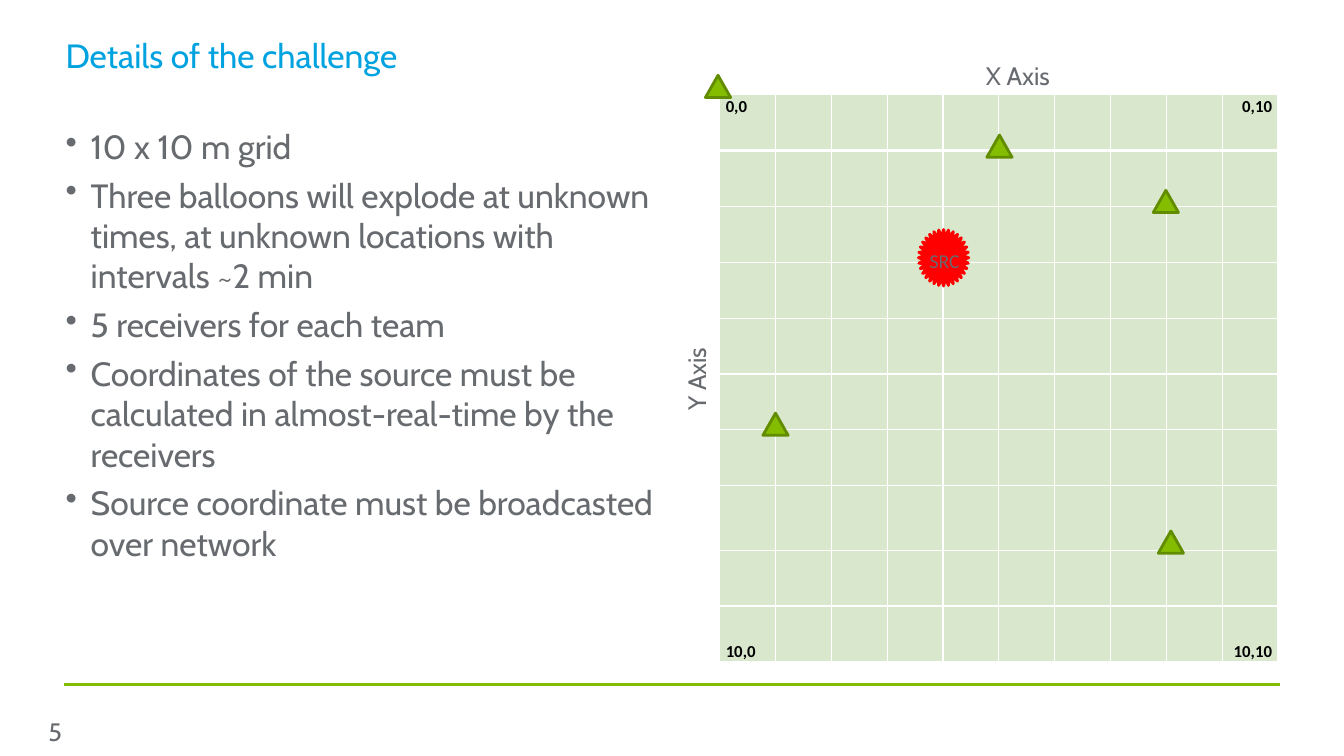
from dataclasses import dataclass
from itertools import product

from lxml.etree import SubElement
from pptx import Presentation
from pptx.dml.color import RGBColor
from pptx.enum.shapes import MSO_CONNECTOR as Connector, MSO_SHAPE as Preset
from pptx.enum.text import MSO_ANCHOR as Anchor, PP_ALIGN as Align
from pptx.oxml import parse_xml
from pptx.oxml.ns import nsdecls, qn
from pptx.shapes.autoshape import Shape
from pptx.slide import Slide
from pptx.table import _Cell as Cell
from pptx.text.text import _Paragraph as Paragraph
from pptx.util import Inches, Length, Pt


@dataclass(frozen=True)
class Theme:
    heading: str = "00A3E0"
    text: str = "676A6E"
    corner: str = "000000"
    rule: str = "84BD00"
    receiver: str = "84BD00"
    receiver_edge: str = "628C00"
    source: str = "FF0000"
    field: str = "D9E8CC"
    field_line: str = "FFFFFF"
    font: str = "Cabin"
    field_font: str = "Calibri"
    body_size: int = 24
    axis_size: int = 18
    source_size: int = 14
    corner_size: int = 12


@dataclass(frozen=True)
class Box:
    col: float
    row: float
    cols: float
    rows: float


@dataclass(frozen=True)
class Label:
    text: str
    box: Box
    size: int
    color: str
    inset: float = 1.2
    wrap: bool = False
    rotation: int = 0


@dataclass(frozen=True)
class Corner:
    text: str
    row: int
    col: int
    align: Align
    anchor: Anchor


@dataclass(frozen=True)
class Spot:
    x: float
    y: float


THEME = Theme()
SLIDE_COLS, SLIDE_ROWS = 160, 90
FIELD = Box(85.68, 11.28, 66.48, 67.5)
FIELD_CELLS = 10
CELL = FIELD.cols / FIELD_CELLS
TALL_ROW, TALL_ROW_HEIGHT = 7, 7.68

LABELS = (
    Label("5", Box(4.56, 84.72, 6.24, 4.8), THEME.axis_size, THEME.text),
    Label("Details of the challenge", Box(7.8, 3.6, 144.6, 10.8),
          THEME.body_size, THEME.heading, inset=0, wrap=True),
    Label("X Axis", Box(116.16, 6.6, 10.2, 4.8), THEME.axis_size, THEME.text),
    Label("Y Axis", Box(77.76, 42.6, 10.2, 4.8), THEME.axis_size, THEME.text,
          rotation=270),
)
DETAILS = Label("\n".join((
    "10 x 10 m grid",
    "Three balloons will explode at unknown times, at unknown locations with intervals ~2 min",
    "5 receivers for each team",
    "Coordinates of the source must be calculated in almost-real-time by the receivers",
    "Source coordinate must be broadcasted over network",
)), Box(7.8, 14.4, 72.24, 64.92), THEME.body_size, THEME.text, inset=0, wrap=True)

CORNERS = (
    Corner("0,0", 0, 0, Align.JUSTIFY, Anchor.TOP),
    Corner("0,10", 0, 9, Align.RIGHT, Anchor.TOP),
    Corner("10,0", 9, 0, Align.LEFT, Anchor.BOTTOM),
    Corner("10,10", 9, 9, Align.RIGHT, Anchor.BOTTOM),
)
RECEIVERS = (Spot(1, 5.9), Spot(8.08, 8.01), Spot(-0.03, -0.15),
             Spot(7.99, 1.91), Spot(5.01, 0.92))
SOURCE = Spot(4.01, 2.92)
SOURCE_NAME = Spot(4.03, 3.01)


def span(units: float) -> Length:
    return Inches(units / 12)


def place(box: Box) -> tuple[Length, Length, Length, Length]:
    return span(box.col), span(box.row), span(box.cols), span(box.rows)


def around(spot: Spot, cols: float, rows: float) -> Box:
    return Box(FIELD.col + spot.x * CELL - cols / 2,
               FIELD.row + spot.y * CELL - rows / 2, cols, rows)


def style(paragraph: Paragraph, size: int, color: str, font: str = THEME.font) -> None:
    paragraph.font.size = Pt(size)
    paragraph.font.name = font
    paragraph.font.color.rgb = RGBColor.from_string(color)


def add_label(slide: Slide, label: Label) -> Shape:
    holder = slide.shapes.add_textbox(*place(label.box))
    holder.rotation = label.rotation
    frame = holder.text_frame
    frame.word_wrap = label.wrap
    frame.margin_left = frame.margin_right = span(label.inset)
    frame.text = label.text
    for paragraph in frame.paragraphs:
        style(paragraph, label.size, label.color)
    return holder


def add_details(slide: Slide) -> None:
    frame = add_label(slide, DETAILS).text_frame
    for index, paragraph in enumerate(frame.paragraphs):
        paragraph.space_before = Pt(6 if index else 0)
        properties = paragraph._p.get_or_add_pPr()
        properties.set("marL", str(span(3)))
        properties.set("indent", str(-span(3)))
        bullet = SubElement(properties, qn("a:buChar"))
        bullet.set("char", "•")
        properties.remove(bullet)
        properties.insert_element_before(bullet, "a:tabLst", "a:defRPr", "a:extLst")


def add_borders(cell: Cell, top: int, bottom: int) -> None:
    widths = {"lnL": 1, "lnR": 1, "lnT": top, "lnB": bottom}
    for index, (side, width) in enumerate(widths.items()):
        cell._tc.get_or_add_tcPr().insert(index, parse_xml(
            f'<a:{side} {nsdecls("a")} w="{Pt(width)}"><a:solidFill>'
            f'<a:srgbClr val="{THEME.field_line}"/></a:solidFill></a:{side}>'))


def add_field(slide: Slide) -> None:
    table = slide.shapes.add_table(FIELD_CELLS, FIELD_CELLS, *place(FIELD)).table
    table.first_row = table.horz_banding = False
    for index in range(FIELD_CELLS):
        table.columns[index].width = span(CELL)
        table.rows[index].height = span(TALL_ROW_HEIGHT if index == TALL_ROW else CELL)
    for row, col in product(range(FIELD_CELLS), repeat=2):
        cell = table.cell(row, col)
        cell.fill.solid()
        cell.fill.fore_color.rgb = RGBColor.from_string(THEME.field)
        add_borders(cell, top=3 if row == 1 else 1, bottom=3 if row == 0 else 1)
    for corner in CORNERS:
        cell = table.cell(corner.row, corner.col)
        cell.margin_left = cell.margin_right = span(0.72)
        cell.margin_top = cell.margin_bottom = 0
        cell.vertical_anchor = corner.anchor
        cell.text = corner.text
        paragraph = cell.text_frame.paragraphs[0]
        paragraph.alignment = corner.align
        paragraph.line_spacing = 1.07
        style(paragraph, THEME.corner_size, THEME.corner, THEME.field_font)
        paragraph.font.bold = True


def add_marker(slide: Slide, preset: Preset, box: Box, fill: str, edge: str) -> None:
    marker = slide.shapes.add_shape(preset, *place(box))
    marker.shadow.inherit = False
    marker.fill.solid()
    marker.fill.fore_color.rgb = RGBColor.from_string(fill)
    marker.line.color.rgb = RGBColor.from_string(edge)
    marker.line.width = Pt(2)


def add_source(slide: Slide) -> None:
    add_marker(slide, Preset.STAR_32_POINT, around(SOURCE, 6, 6.72),
               THEME.source, THEME.source)
    name = add_label(slide, Label("SRC", around(SOURCE_NAME, 6, 4.8),
                                  THEME.source_size, THEME.text, inset=0, wrap=True))
    paragraph = name.text_frame.paragraphs[0]
    paragraph.alignment = Align.CENTER
    paragraph.line_spacing = 1.07
    style(paragraph, THEME.source_size, THEME.text, THEME.field_font)


def add_rule(slide: Slide) -> None:
    rule = slide.shapes.add_connector(
        Connector.STRAIGHT, span(7.6), span(81.48), span(152.4), span(81.48))
    rule.line.color.rgb = RGBColor.from_string(THEME.rule)
    rule.line.width = Pt(2)
    SubElement(rule._element.spPr, qn("a:effectLst"))


def main() -> None:
    deck = Presentation()
    deck.slide_width, deck.slide_height = span(SLIDE_COLS), span(SLIDE_ROWS)
    slide = deck.slides.add_slide(deck.slide_layouts[6])
    add_rule(slide)
    add_field(slide)
    add_source(slide)
    add_details(slide)
    for label in LABELS:
        add_label(slide, label)
    for spot in RECEIVERS:
        add_marker(slide, Preset.ISOSCELES_TRIANGLE, around(spot, 3, 2.64),
                   THEME.receiver, THEME.receiver_edge)
    deck.save("out.pptx")


if __name__ == "__main__":
    main()
